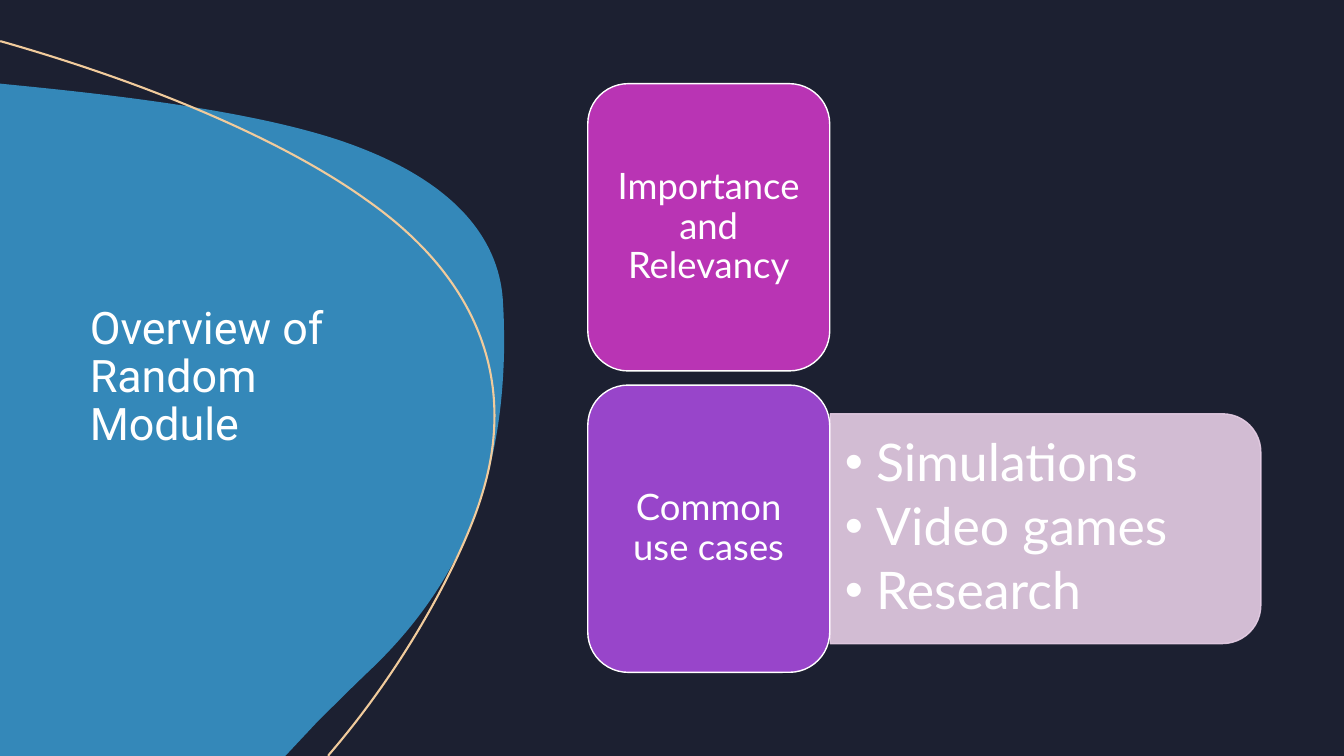
from dataclasses import dataclass

from lxml import etree
from pptx import Presentation
from pptx import util as u
from pptx.dml.color import RGBColor
from pptx.enum import shapes, text
from pptx.oxml import ns

Point = tuple[float, float]
Box = tuple[float, float, float, float]

NAVY, BLUE, SAND, WHITE, PINK = "1C2031", "3488B9", "F1CB9C", "FFFFFF", "E6CEE5"


@dataclass
class Outline:
    start: Point
    segments: list[list[Point]]
    width: float
    fill: str | None = None
    line: str | None = None


@dataclass
class Card:
    label: str
    fill: str


BLOB = Outline(
    (5, 3.47),
    [
        [(4.98, 4.53), (4.72, 5.64), (3.69, 6.63)],
        [(3.5, 6.81), (3.31, 7), (3.13, 7.18)],
        [(2.83, 7.5)],
        [(0, 7.5)],
        [(0, 0.83)],
        [(0.3, 0.86)],
        [(1.49, 0.98), (2.62, 1.14), (3.39, 1.4)],
        [(4.59, 1.81), (4.97, 2.44), (4.99, 3.02)],
        [(5, 3.17), (5, 3.32), (5, 3.47)],
    ],
    width=5,
    fill=BLUE,
)
SWEEP = Outline(
    (0, 0.41),
    [
        [(0.01, 0.41)],
        [(1.52, 0.84), (2.82, 1.4), (3.63, 1.98)],
        [(4.86, 2.84), (5.1, 3.92), (4.77, 4.94)],
        [(4.63, 5.4), (4.13, 6.48), (3.26, 7.49)],
        [(3.26, 7.5)],
    ],
    width=4.91,
    line=SAND,
)
CARDS = [Card("Importance and Relevancy", "B934B4"), Card("Common use cases", "9845CA")]
CARD_LEFT, CARD_TOP, CARD_WIDTH, CARD_HEIGHT, CARD_PITCH = 5.83, 0.83, 2.4, 2.85, 2.99
USE_CASES = ["Simulations", "Video games", "Research"]


def color(value: str) -> RGBColor:
    return RGBColor.from_string(value)


def paint(shape, fill: str | None, line: str | None, width: float = 1) -> None:
    shape.shadow.inherit = False
    for target, value in ((shape.fill, fill), (shape.line.fill, line)):
        if value:
            target.solid()
            target.fore_color.rgb = color(value)
        else:
            target.background()
    if line:
        shape.line.width = u.Pt(width)


def set_opacity(shape, percent: int) -> None:
    for node in shape.element.spPr.iter(ns.qn("a:srgbClr")):
        etree.SubElement(node, ns.qn("a:alpha"), val=str(percent * 1000))


def bend_segments(shape, outline: Outline) -> None:
    steps = iter(list(shape.element.spPr.iter(ns.qn("a:lnTo"))))
    for segment in outline.segments:
        first, *others = [next(steps) for _ in segment]
        if others:
            first.tag = ns.qn("a:cubicBezTo")
            for step in others:
                first.append(step[0])
                step.getparent().remove(step)


def draw_outline(slide, outline: Outline) -> None:
    points = [outline.start] + [point for segment in outline.segments for point in segment]
    start, *vertices = [(u.Inches(x), u.Inches(y)) for x, y in points]
    builder = slide.shapes.build_freeform(*start)
    builder.add_line_segments(vertices, close=outline.fill is not None)
    shape = builder.convert_to_shape()
    bend_segments(shape, outline)
    shape.width = u.Inches(outline.width)
    next(shape.element.spPr.iter(ns.qn("a:path"))).set("w", str(shape.width))
    paint(shape, outline.fill, outline.line, 1.5)


def place(shape, box: Box) -> None:
    shape.left, shape.top, shape.width, shape.height = map(u.Inches, box)


def format_text(shape, font: str, size: float, align, inset: Point, after: float = 0) -> None:
    frame = shape.text_frame
    frame.word_wrap = True
    frame.auto_size = text.MSO_AUTO_SIZE.NONE
    frame.vertical_anchor = text.MSO_ANCHOR.MIDDLE
    frame.margin_left = frame.margin_right = u.Inches(inset[0])
    frame.margin_top = frame.margin_bottom = u.Inches(inset[1])
    for paragraph in frame.paragraphs:
        paragraph.alignment = align
        paragraph.line_spacing = 0.9
        paragraph.space_before = u.Pt(0)
        paragraph.space_after = u.Pt(after)
        paragraph.font.name = font
        paragraph.font.size = u.Pt(size)
        paragraph.font.color.rgb = color(WHITE)


def add_title(slide) -> None:
    title = slide.shapes.title
    slide.shapes.element.append(title.element)
    place(title, (0.79, 2.5, 3.33, 2.5))
    title.text_frame.text = "Overview of Random Module"
    format_text(title, "Roboto", 32, text.PP_ALIGN.LEFT, (0.1, 0.05))


def add_card(slide, index: int, card: Card) -> None:
    box = (CARD_LEFT, CARD_TOP + index * CARD_PITCH, CARD_WIDTH, CARD_HEIGHT)
    shape = slide.shapes.add_shape(shapes.MSO_SHAPE.ROUNDED_RECTANGLE, *map(u.Inches, box))
    paint(shape, card.fill, WHITE)
    shape.text_frame.text = card.label
    format_text(shape, "Lato", 26, text.PP_ALIGN.CENTER, (0.11, 0.05))


def add_use_cases(slide) -> None:
    panel = slide.shapes.add_shape(
        shapes.MSO_SHAPE.ROUND_2_SAME_RECTANGLE, *map(u.Inches, (9.23, 3.11, 2.28, 4.27))
    )
    panel.rotation = 90
    paint(panel, PINK, PINK)
    set_opacity(panel, 90)

    body = slide.placeholders[1]
    slide.shapes.element.append(body.element)
    place(body, (8.23, 4.22, 4.16, 2.05))
    body.text_frame.text = "\n".join(USE_CASES)
    format_text(body, "Lato", 37, text.PP_ALIGN.LEFT, (0.15, 0.08), after=5.5)
    indent = u.Inches(0.31)
    for paragraph in body.text_frame.paragraphs:
        properties = paragraph._p.get_or_add_pPr()
        properties.set("marL", str(indent))
        properties.set("indent", str(-indent))
        etree.SubElement(properties, ns.qn("a:buChar"), char="•")
        properties.append(properties.find(ns.qn("a:defRPr")))


def main() -> None:
    presentation = Presentation()
    presentation.slide_width = u.Inches(13.33)
    presentation.slide_height = u.Inches(7.5)
    slide = presentation.slides.add_slide(presentation.slide_layouts[1])
    slide.background.fill.solid()
    slide.background.fill.fore_color.rgb = color(NAVY)

    for outline in (BLOB, SWEEP):
        draw_outline(slide, outline)
    add_title(slide)
    add_use_cases(slide)
    for index, card in enumerate(CARDS):
        add_card(slide, index, card)
    presentation.save("out.pptx")


main()
